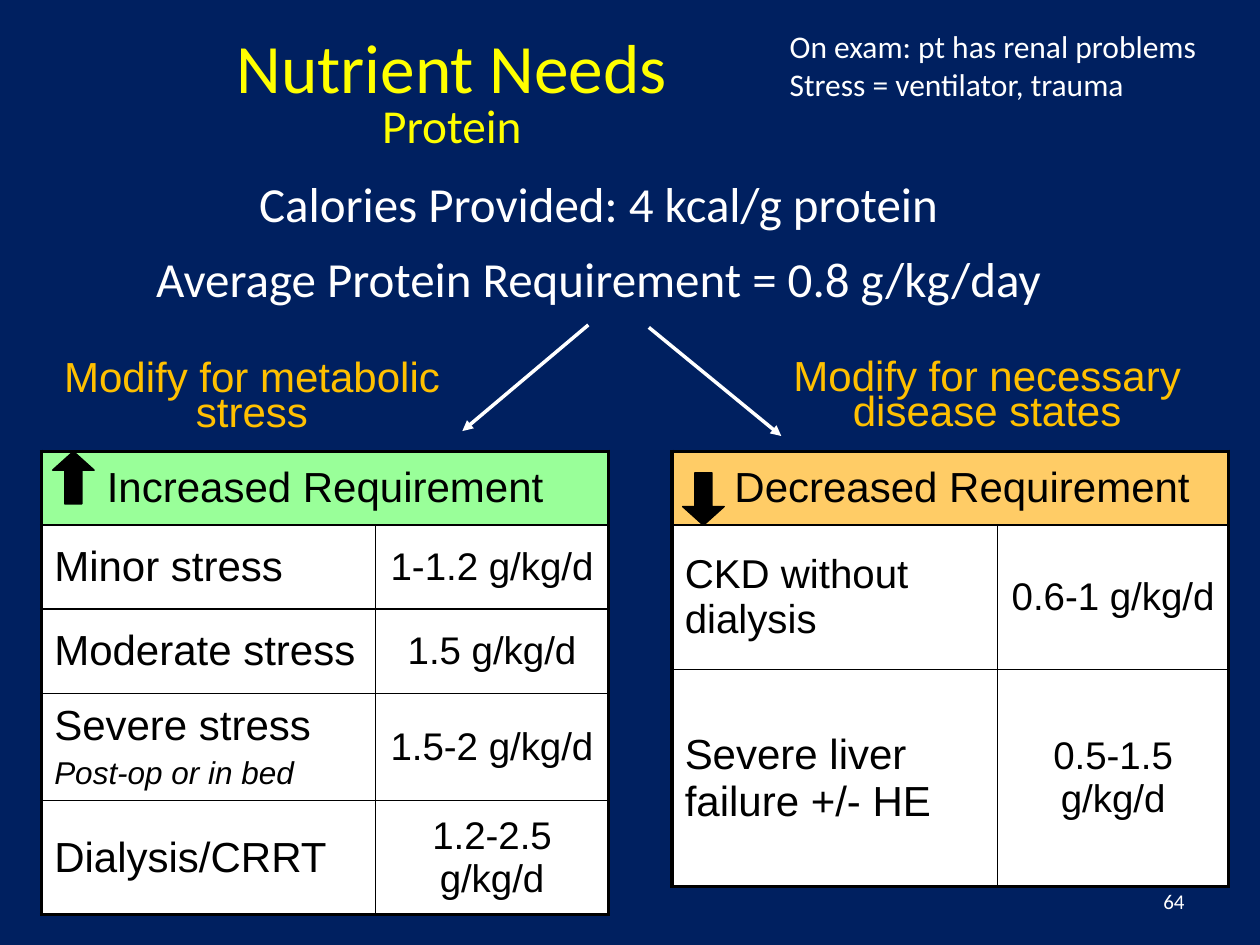
"""Build the protein requirements slide."""
import dataclasses

import lxml.etree
import pptx
import pptx.dml.color
import pptx.enum.shapes
import pptx.enum.text
import pptx.oxml.ns
import pptx.util

Cm = pptx.util.Cm
Pt = pptx.util.Pt
qn = pptx.oxml.ns.qn
ALIGN = pptx.enum.text.PP_ALIGN
ANCHOR = pptx.enum.text.MSO_ANCHOR
AUTO = pptx.enum.text.MSO_AUTO_SIZE
SHAPE = pptx.enum.shapes.MSO_SHAPE


@dataclasses.dataclass(frozen=True)
class Theme:
    """Colours, fonts and sizes of the slide."""
    navy: str = "002060"
    yellow: str = "FFFF00"
    amber: str = "FFC000"
    white: str = "FFFFFF"
    black: str = "000000"
    green: str = "99FF99"
    orange: str = "FFCC66"
    heading: str = "Calibri"
    body: str = "Arial"
    title: float = 39.6
    subtitle: float = 27
    statement: float = 28
    label: float = 24
    condition: float = 23
    dose: float = 22
    remark: float = 18
    number: float = 12
    outer: float = 2.25
    inner: float = 1


T = Theme()


def rgb(value):
    """Return a colour from its hex value."""
    return pptx.dml.color.RGBColor.from_string(value)


def apply(target, values):
    """Set each attribute of target from a dict."""
    for name, value in values.items():
        setattr(target, name, value)


def add_run(p, text, font, size, color, **fmt):
    """Add a formatted run to a paragraph."""
    r = p.add_run()
    r.text = text
    apply(r.font, {"name": font, "size": Pt(size), **fmt})
    r.font.color.rgb = rgb(color)


def add_text(s, box, lines, font, size, color, frame=None, para=None):
    """Add a text box with one paragraph per line and return its frame."""
    tf = s.shapes.add_textbox(*map(Cm, box)).text_frame
    apply(tf, {"word_wrap": True, **(frame or {})})
    for i, line in enumerate(lines):
        p = tf.add_paragraph() if i else tf.paragraphs[0]
        apply(p, para or {})
        add_run(p, line, font, size, color)
    return tf


def add_arrow(s, start, end):
    """Add a white line with an arrowhead at its end."""
    sp = s.shapes.add_connector(pptx.enum.shapes.MSO_CONNECTOR.STRAIGHT,
                                *map(Cm, start + end))
    sp.line.color.rgb = rgb(T.white)
    sp.line.width = Pt(2)
    lxml.etree.SubElement(sp.line._get_or_add_ln(), qn("a:tailEnd"), type="triangle")
    lxml.etree.SubElement(sp._element.spPr, qn("a:effectLst"))


def add_block_arrow(s, left, top, rotation):
    """Add a solid black block arrow."""
    sp = s.shapes.add_shape(SHAPE.UP_ARROW, *map(Cm, (left, top, 0.84, 1.06)))
    sp.adjustments[0], sp.adjustments[1] = 0.41, 0.45
    sp.rotation = rotation
    sp.shadow.inherit = False
    sp.fill.solid()
    sp.fill.fore_color.rgb = rgb(T.black)
    sp.line.color.rgb = rgb(T.black)
    sp.line.width = Pt(0.75)


def set_borders(cell, widths):
    """Draw the left, right, top and bottom borders of a cell."""
    for side, width in zip("LRTB", widths):
        ln = lxml.etree.SubElement(cell._tc.get_or_add_tcPr(), qn(f"a:ln{side}"),
                                   w=str(Pt(width)))
        fill = lxml.etree.SubElement(ln, qn("a:solidFill"))
        lxml.etree.SubElement(fill, qn("a:srgbClr"), val=T.black)


def fill_cell(cell, lines, align):
    """Write (text, size, italic) lines into a cell."""
    cell.vertical_anchor = ANCHOR.MIDDLE
    tf = cell.text_frame
    for i, (text, size, italic) in enumerate(lines):
        p = tf.add_paragraph() if i else tf.paragraphs[0]
        apply(p, {"alignment": align, "space_before": Pt(0.2 * size if i else 0)})
        add_run(p, text, T.body, size, T.black, italic=italic)


def add_requirements(s, left, widths, heights, header, color, rows, indent=0.25):
    """Add a table of conditions and doses under a merged header."""
    table = s.shapes.add_table(len(heights), 2, Cm(left), Cm(9.1),
                               Cm(sum(widths)), Cm(sum(heights))).table
    apply(table, {"first_row": False, "horz_banding": False})
    for column, width in zip(table.columns, widths):
        column.width = Cm(width)
    for row, height in zip(table.rows, heights):
        row.height = Cm(height)
    last = len(heights) - 1
    for i in range(last + 1):
        for j in range(2):
            cell = table.cell(i, j)
            edges = (j == 0, j == 1 or i == 0, i == 0, i == last)
            set_borders(cell, [T.outer if edge else T.inner for edge in edges])
            cell.fill.solid()
            cell.fill.fore_color.rgb = rgb(T.white if i else color)
    table.cell(0, 0).merge(table.cell(0, 1))
    table.cell(0, 0).margin_left = Cm(indent)
    fill_cell(table.cell(0, 0), [(header, T.label, False)], ALIGN.CENTER)
    for i, (condition, dose) in enumerate(rows, 1):
        fill_cell(table.cell(i, 0), condition, ALIGN.LEFT)
        fill_cell(table.cell(i, 1), [(dose, T.dose, False)], ALIGN.CENTER)


def add_headings(s):
    """Add the title, statements, labels, remark and slide number."""
    center = {"alignment": ALIGN.CENTER}
    tf = add_text(s, (0.64, 0.64, 16.94, 2.62), ["Nutrient Needs"], T.heading, T.title,
                  T.yellow, {"vertical_anchor": ANCHOR.MIDDLE},
                  {**center, "line_spacing": 0.8})
    p = tf.paragraphs[0]
    p.add_line_break()
    add_run(p, "Protein", T.heading, T.subtitle, T.yellow)
    for top, text in ((3.38, "Calories Provided: 4 kcal/g protein"),
                      (4.88, "Average Protein Requirement = 0.8 g/kg/day")):
        add_text(s, (0, top, 24.13, 1.7), [text], T.heading, T.statement, T.white,
                 para=center)
    for box, text in (((0, 7.21, 10.16, 1.7), "Modify for metabolic stress"),
                      ((14.4, 7.19, 11, 1.7), "Modify for necessary disease states")):
        add_text(s, box, [text], T.body, T.label, T.amber,
                 {"auto_size": AUTO.SHAPE_TO_FIT_TEXT}, {**center, "line_spacing": 0.7})
    add_text(s, (18.21, 17.65, 5.92, 1.02), ["64"], T.heading, T.number, T.white,
             {"vertical_anchor": ANCHOR.MIDDLE}, {"alignment": ALIGN.RIGHT})
    add_text(s, (15.67, 0.43, 8.84, 1.8),
             ["On exam: pt has renal problems", "Stress = ventilator, trauma"],
             T.heading, T.remark, T.white,
             {"word_wrap": False, "auto_size": AUTO.SHAPE_TO_FIT_TEXT})


def main():
    """Build and save the slide."""
    prs = pptx.Presentation()
    apply(prs, {"slide_width": Cm(25.4), "slide_height": Cm(19.05)})
    s = prs.slides.add_slide(prs.slide_layouts[6])
    s.background.fill.solid()
    s.background.fill.fore_color.rgb = rgb(T.navy)
    add_headings(s)
    add_requirements(
        s, 0.84, (6.73, 4.7), (1.48, 1.7, 1.7, 1.7, 2.29),
        "Increased Requirement", T.green,
        [([("Minor stress", T.label, False)], "1-1.2 g/kg/d"),
         ([("Moderate stress", T.label, False)], "1.5 g/kg/d"),
         ([("Severe stress", T.label, False), ("Post-op or in bed", T.remark, True)],
          "1.5-2 g/kg/d"),
         ([("Dialysis/CRRT", T.label, False)], "1.2-2.5 g/kg/d")])
    add_requirements(
        s, 13.55, (6.56, 4.66), (1.48, 2.92, 4.37),
        "Decreased Requirement", T.orange,
        [([("CKD without dialysis", T.condition, False)], "0.6-1 g/kg/d"),
         ([("Severe liver failure +/- HE", T.label, False)], "0.5-1.5 g/kg/d")],
        indent=0.72)
    add_arrow(s, (13.08, 6.6), (15.75, 8.79))
    add_arrow(s, (11.86, 6.55), (9.32, 8.69))
    add_block_arrow(s, 1.06, 9.1, 0)
    add_block_arrow(s, 13.76, 9.53, 180)
    prs.save("out.pptx")


if __name__ == "__main__":
    main()
